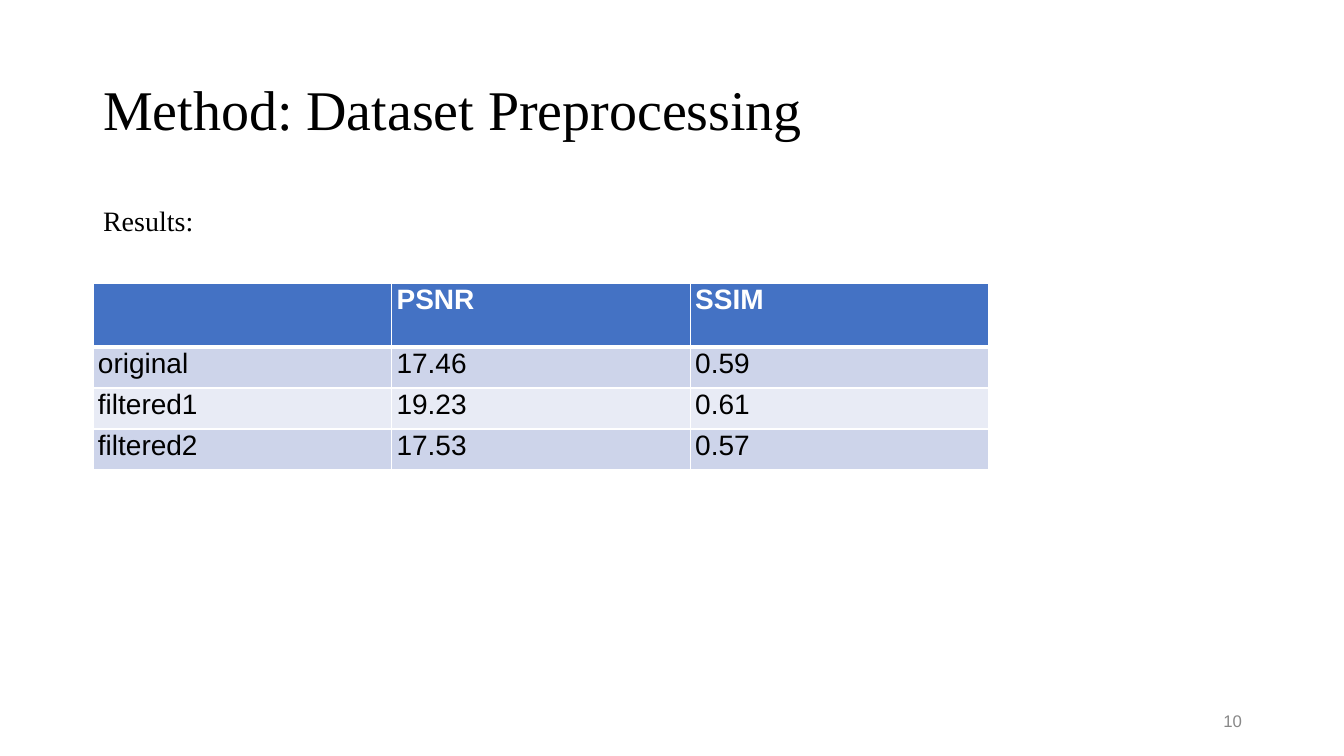
"""Build the dataset preprocessing results slide."""
from lxml import etree
from pptx import Presentation
from pptx.dml.color import RGBColor
from pptx.enum.text import MSO_ANCHOR, MSO_AUTO_SIZE, PP_ALIGN
from pptx.oxml.ns import qn
from pptx.util import Pt

LEFT, RIGHT = PP_ALIGN.LEFT, PP_ALIGN.RIGHT
TOP, MIDDLE = MSO_ANCHOR.TOP, MSO_ANCHOR.MIDDLE
NO_AUTOFIT = MSO_AUTO_SIZE.NONE
SLIDE_W, SLIDE_H = 1344, 756
EMU_PER_PX = 12192000 / SLIDE_W

THEME = {
    "serif": "Times New Roman", "sans": "Arial",
    "title": 40, "body": 20, "number": 12,
    "ink": "000000", "white": "FFFFFF", "grey": "888888",
    "header": "4472C4", "bands": ["CDD4EA", "E8EBF5"],
}


def px(length):
    return round(length * EMU_PER_PX)


def write(frame, text, font, size, color, align=LEFT, bold=False):
    frame.text = text
    paragraph = frame.paragraphs[0]
    paragraph.alignment = align
    for run in paragraph.runs:
        run.font.name = THEME[font]
        run.font.size = Pt(THEME[size])
        run.font.color.rgb = RGBColor.from_string(THEME[color])
        run.font.bold = bold
    return paragraph


prs = Presentation()
prs.slide_width, prs.slide_height = px(SLIDE_W), px(SLIDE_H)
slide = prs.slides.add_slide(prs.slide_layouts[1])

title = slide.shapes.title
body = slide.placeholders[1]
page_number = slide.shapes.add_textbox(px(950), px(701), px(302), px(40))
title.left, title.top, title.width, title.height = px(93), px(40), px(1159), px(144)
body.left, body.top, body.width, body.height = px(93), px(202), px(1049), px(475)

for holder, anchor in [(title, MIDDLE), (body, TOP), (page_number, MIDDLE)]:
    holder.text_frame.word_wrap = True
    holder.text_frame.auto_size = NO_AUTOFIT
    holder.text_frame.vertical_anchor = anchor

heading = write(title.text_frame, "Method: Dataset Preprocessing", "serif", "title", "ink")
results = write(body.text_frame, "Results:", "serif", "body", "ink")
write(page_number.text_frame, "10", "sans", "number", "grey", RIGHT)
for paragraph in (heading, results):
    paragraph.line_spacing = 0.9
    paragraph.space_before = Pt(0)
results_props = results._p.get_or_add_pPr()
results_props.set("marL", "0")
results_props.set("indent", "0")
etree.SubElement(results_props, qn("a:buNone"))

SCORES = [
    ["", "PSNR", "SSIM"],
    ["original", "17.46", "0.59"],
    ["filtered1", "19.23", "0.61"],
    ["filtered2", "17.53", "0.57"],
]
HEADER_H, ROW_H = 64, 41
table_h = HEADER_H + ROW_H * (len(SCORES) - 1)
scores = slide.shapes.add_table(
    len(SCORES), len(SCORES[0]), px(93), px(283), px(896), px(table_h)).table

for r, values in enumerate(SCORES):
    is_header = r == 0
    scores.rows[r].height = px(HEADER_H if is_header else ROW_H)
    fill = THEME["header"] if is_header else THEME["bands"][(r - 1) % 2]
    for c, value in enumerate(values):
        cell = scores.cell(r, c)
        cell.margin_left = cell.margin_right = px(5)
        cell.margin_top = cell.margin_bottom = px(1)
        write(cell.text_frame, value, "sans", "body",
              "white" if is_header else "ink", bold=is_header)
        cell_props = cell._tc.get_or_add_tcPr()
        for side in ("lnL", "lnR", "lnT", "lnB"):
            thick = (is_header and side == "lnB") or (r == 1 and side == "lnT")
            line = etree.SubElement(cell_props, qn("a:" + side), w=str(Pt(3 if thick else 1)))
            line_fill = etree.SubElement(line, qn("a:solidFill"))
            etree.SubElement(line_fill, qn("a:srgbClr"), val=THEME["white"])
        cell.fill.solid()
        cell.fill.fore_color.rgb = RGBColor.from_string(fill)

prs.save("out.pptx")
